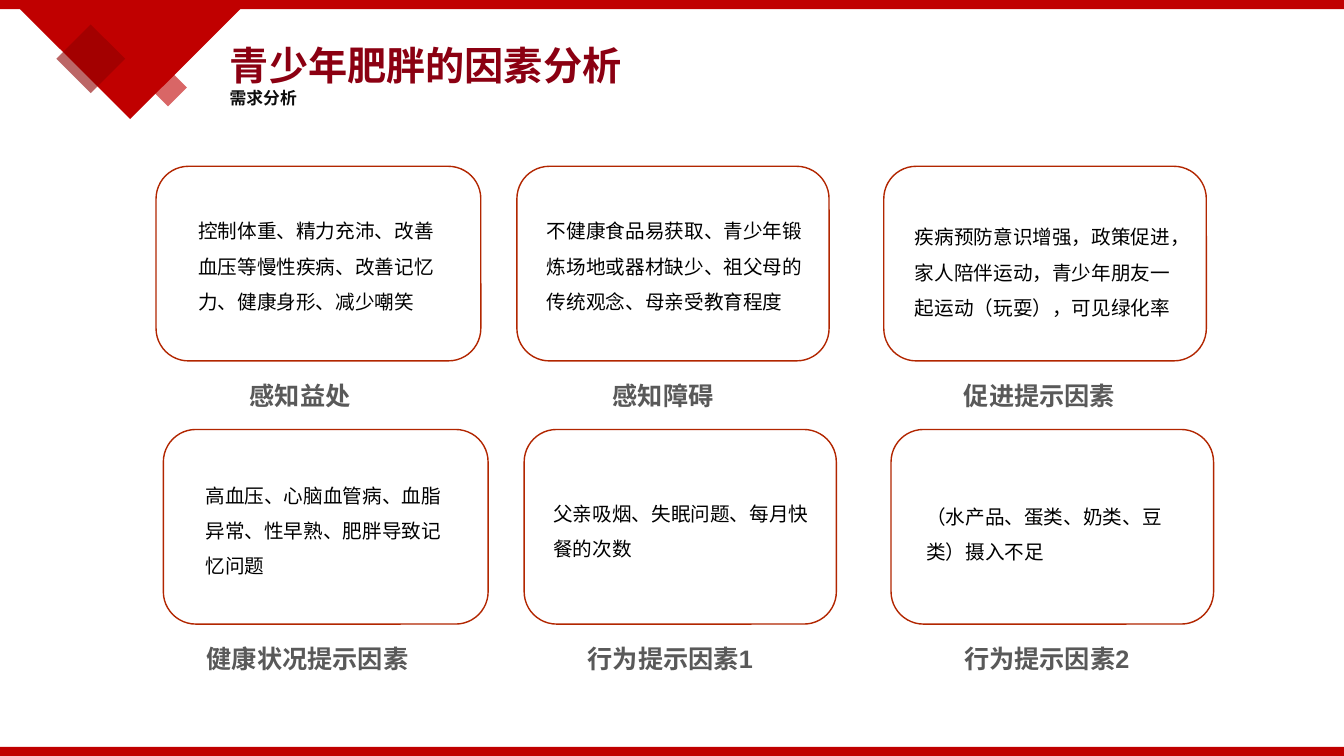
from dataclasses import dataclass

from lxml.etree import SubElement
from pptx import Presentation
from pptx.dml.color import RGBColor
from pptx.enum.shapes import MSO_SHAPE as Shape
from pptx.enum.text import MSO_ANCHOR as Anchor, MSO_AUTO_SIZE as AutoSize, PP_ALIGN as Align
from pptx.oxml.ns import qn
from pptx.util import Pt

TITLE = "青少年肥胖的因素分析"
SUBTITLE = "需求分析"

# label, factors, text offset from the frame (x, y), text height
FACTOR_ROWS = [
    [
        ("感知益处", "控制体重、精力充沛、改善血压等慢性疾病、改善记忆力、健康身形、减少嘲笑", (23, 26), 80),
        ("感知障碍", "不健康食品易获取、青少年锻炼场地或器材缺少、祖父母的传统观念、母亲受教育程度", (14.4, 26), 80),
        ("促进提示因素", "疾病预防意识增强，政策促进，家人陪伴运动，青少年朋友一起运动（玩耍），可见绿化率", (15.1, 30.2), 80),
    ],
    [
        ("健康状况提示因素", "高血压、心脑血管病、血脂异常、性早熟、肥胖导致记忆问题", (23, 26.6), 80),
        ("行为提示因素1", "父亲吸烟、失眠问题、每月快餐的次数", (13.7, 39.6), 54),
        ("行为提示因素2", "（水产品、蛋类、奶类、豆类）摄入不足", (18, 41.8), 54),
    ],
]


@dataclass(frozen=True)
class Theme:
    red: str = "C00000"
    dark_red: str = "900000"
    title: str = "8B0012"
    subtitle: str = "0D0D0D"
    label: str = "595959"
    body: str = "000000"
    frame: str = "B22600"
    latin: str = "Arial"
    cjk: str = "Noto Sans CJK SC"
    title_size: float = 28
    subtitle_size: float = 12
    label_size: float = 18
    body_size: float = 14


THEME = Theme()
SLIDE_W, SLIDE_H = 960, 540
BAR_H = 6.5
EMBLEM = [(20, 0), (167, 0), (172.4, 5.8), (93, 85), (13.6, 5.8)]
# frame left, frame width, text width, label offset
COLUMNS = [(111.5, 232, 196, 14.7), (369.2, 223, 209.5, 16.2), (631.3, 230.4, 203, 23)]
ROW_TOP, ROW_PITCH, ROW_SHIFT = 118.8, 188, 5.2
FRAME_H = 139
LABEL_DROP, LABEL_W, LABEL_H = 144.7, 176.4, 31.5


def paint(shape, color, alpha=None):
    shape.shadow.inherit = False
    shape.fill.solid()
    shape.fill.fore_color.rgb = RGBColor.from_string(color)
    shape.line.fill.background()
    if alpha:
        tint = shape.fill._xPr.find(".//" + qn("a:srgbClr"))
        SubElement(tint, qn("a:alpha")).set("val", str(alpha * 1000))


def add_block(slide, kind, box, color, alpha=None):
    paint(slide.shapes.add_shape(kind, *map(Pt, box)), color, alpha)


def write(holder, text, size, color, spacing, font=THEME.latin, bold=False, align=Align.LEFT):
    frame = holder.text_frame
    frame.word_wrap = True
    frame.auto_size = AutoSize.NONE
    frame.vertical_anchor = Anchor.TOP
    frame.text = text
    paragraph = frame.paragraphs[0]
    paragraph.alignment = align
    paragraph.line_spacing = spacing
    paragraph.font.size = Pt(size)
    paragraph.font.bold = bold
    paragraph.font.name = font
    paragraph.font.color.rgb = RGBColor.from_string(color)
    defaults = paragraph._p.pPr.find(qn("a:defRPr"))
    SubElement(defaults, qn("a:ea")).set("typeface", THEME.cjk)


def add_text(slide, box, *args, **style):
    write(slide.shapes.add_textbox(*map(Pt, box)), *args, **style)


def add_decoration(slide):
    add_block(slide, Shape.DIAMOND, (106.5, 49, 27, 27), THEME.red, 60)
    add_block(slide, Shape.RECTANGLE, (0, 0, SLIDE_W, BAR_H), THEME.red)
    start, *rest = [(Pt(x), Pt(y)) for x, y in EMBLEM]
    builder = slide.shapes.build_freeform(*start)
    builder.add_line_segments(rest)
    paint(builder.convert_to_shape(), THEME.red)
    add_block(slide, Shape.DIAMOND, (40.3, 17.5, 49, 49), THEME.dark_red, 60)
    add_block(slide, Shape.RECTANGLE, (0, SLIDE_H - BAR_H, SLIDE_W, BAR_H), THEME.red)


def add_heading(slide):
    heading = slide.shapes.title
    heading.left, heading.top, heading.width, heading.height = map(Pt, (157, 21, 355, 43))
    write(heading, TITLE, THEME.title_size, THEME.title, 1.14, bold=True)
    add_text(slide, (157, 57, 634, 22), SUBTITLE, THEME.subtitle_size, THEME.subtitle,
             1.14, font=THEME.cjk, bold=True)


def add_factor(slide, row, column, factor):
    label, factors, (dx, dy), text_h = factor
    left, frame_w, text_w, label_dx = column
    left += row * ROW_SHIFT
    top = ROW_TOP + row * ROW_PITCH
    outline = slide.shapes.add_shape(
        Shape.ROUNDED_RECTANGLE, *map(Pt, (left, top, frame_w, FRAME_H)))
    outline.shadow.inherit = False
    outline.fill.background()
    outline.line.color.rgb = RGBColor.from_string(THEME.frame)
    outline.line.width = Pt(1)
    add_text(slide, (left + dx, top + dy, text_w, text_h), factors,
             THEME.body_size, THEME.body, 1.5, font=THEME.cjk)
    add_text(slide, (left + label_dx, top + LABEL_DROP, LABEL_W, LABEL_H), label,
             THEME.label_size, THEME.label, 1.2, bold=True, align=Align.CENTER)


def main():
    deck = Presentation()
    deck.slide_width, deck.slide_height = Pt(SLIDE_W), Pt(SLIDE_H)
    slide = deck.slides.add_slide(deck.slide_layouts.get_by_name("Title Only"))
    add_decoration(slide)
    add_heading(slide)
    for row, factors in enumerate(FACTOR_ROWS):
        for column, factor in zip(COLUMNS, factors):
            add_factor(slide, row, column, factor)
    deck.save("out.pptx")


if __name__ == "__main__":
    main()
